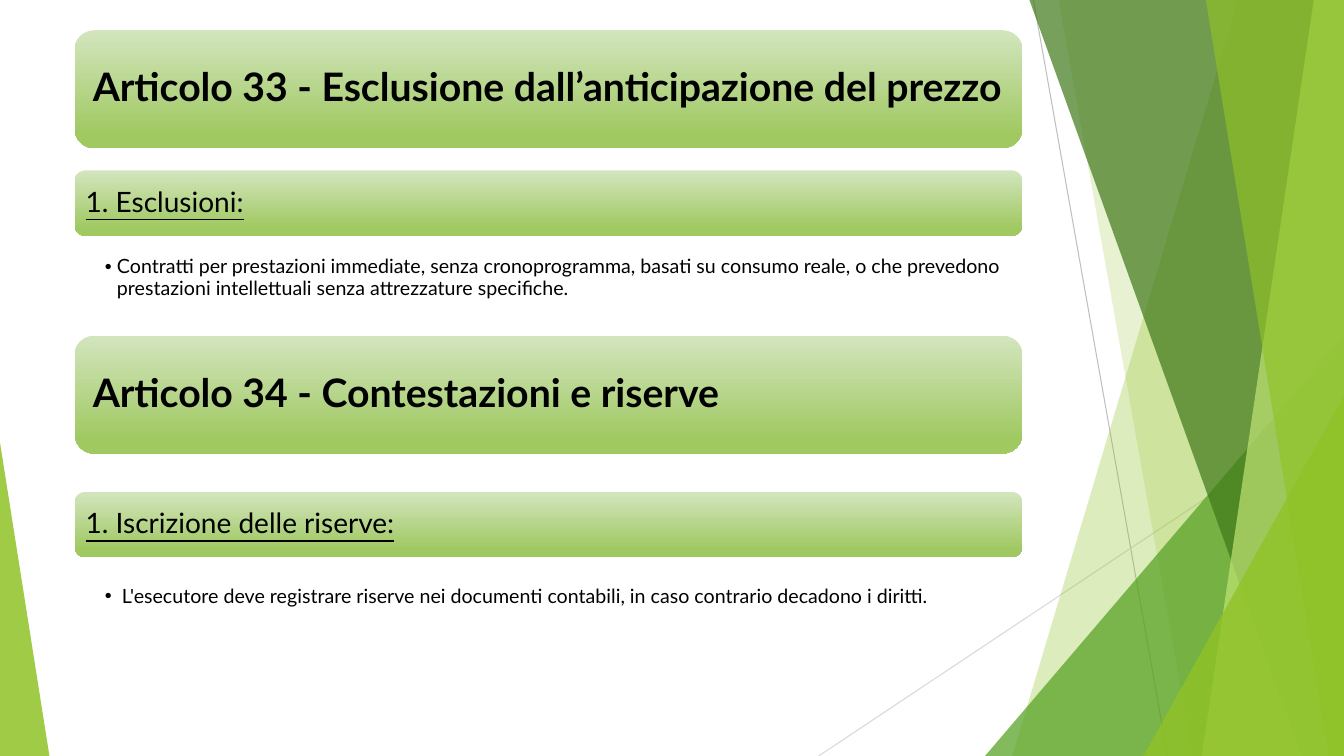
from lxml import etree
from pptx import Presentation
from pptx.dml.color import RGBColor
from pptx.enum.shapes import MSO_CONNECTOR, MSO_SHAPE
from pptx.enum.text import MSO_ANCHOR, MSO_AUTO_SIZE, PP_ALIGN
from pptx.oxml.ns import qn
from pptx.util import Emu, Pt

STRAIGHT = MSO_CONNECTOR.STRAIGHT
ROUNDED = MSO_SHAPE.ROUNDED_RECTANGLE
TRIANGLE = MSO_SHAPE.ISOSCELES_TRIANGLE
TOP, MIDDLE = MSO_ANCHOR.TOP, MSO_ANCHOR.MIDDLE
NO_FIT = MSO_AUTO_SIZE.NONE
LEFT = PP_ALIGN.LEFT

EMU_PER_PX = 9144
WIDTH, HEIGHT = 1333, 750
BAR_LEFT, BAR_WIDTH = 74, 940
TWO_CONTENT = 3


def px(length):
    return Emu(length * EMU_PER_PX)


def color(value):
    return RGBColor.from_string(value)


class SlideBuilder:
    font_name = "Lato"
    text_color = "000000"
    gradient = ((0, "D3E5BE"), (0.88, "A0C962"))

    def __init__(self, slide):
        self.slide = slide
        self.shapes = slide.shapes

    def line(self, start, end, line_color):
        connector = self.shapes.add_connector(STRAIGHT, *map(px, start + end))
        connector.line.color.rgb = color(line_color)
        connector.line.width = Pt(0.75)
        etree.SubElement(connector._element.spPr, qn("a:effectLst"))

    def paint(self, shape, fill_color, opacity):
        shape.shadow.inherit = False
        shape.fill.solid()
        shape.fill.fore_color.rgb = color(fill_color)
        color_element = shape._element.spPr.find(".//" + qn("a:srgbClr"))
        etree.SubElement(color_element, qn("a:alpha"), val=str(opacity * 1000))
        shape.line.fill.background()

    def facet(self, top_left, top_right, bottom_left, fill_color, opacity):
        builder = self.shapes.build_freeform(top_left, 0, scale=EMU_PER_PX)
        corners = [(top_right, 0), (WIDTH, HEIGHT), (bottom_left, HEIGHT)]
        if top_right != WIDTH:
            corners.insert(1, (WIDTH, 0))
        builder.add_line_segments(corners, close=True)
        self.paint(builder.convert_to_shape(), fill_color, opacity)

    def triangle(self, left, top, width, apex, fill_color, opacity):
        shape = self.shapes.add_shape(
            TRIANGLE, px(left), px(top), px(width), px(HEIGHT - top))
        shape.adjustments[0] = apex
        self.paint(shape, fill_color, opacity)

    def bar(self, top, height):
        shape = self.shapes.add_shape(
            ROUNDED, px(BAR_LEFT), px(top), px(BAR_WIDTH), px(height))
        shape.shadow.inherit = False
        shape.fill.gradient()
        shape.fill.gradient_angle = 270
        for stop, (position, stop_color) in zip(shape.fill.gradient_stops, self.gradient):
            stop.position = position
            stop.color.rgb = color(stop_color)
        shape.line.fill.background()

    def set_text(self, shape, box, text, size, insets, anchor,
                 bold=False, underline=False, bullet=False):
        shape.left, shape.top, shape.width, shape.height = map(px, box)
        frame = shape.text_frame
        frame.word_wrap = True
        frame.auto_size = NO_FIT
        frame.vertical_anchor = anchor
        frame.margin_left, frame.margin_top, frame.margin_right, frame.margin_bottom = map(px, insets)
        frame.text = text
        paragraph = frame.paragraphs[0]
        paragraph.alignment = LEFT
        paragraph.line_spacing = 0.9
        paragraph.space_before = Pt(0)
        if bullet:
            properties = paragraph._p.get_or_add_pPr()
            properties.set("marL", str(px(12)))
            properties.set("indent", str(px(-12)))
            etree.SubElement(properties, qn("a:buChar"), char="•")
        font = paragraph.font
        font.name = self.font_name
        font.size = Pt(size)
        font.bold = bold
        font.underline = underline
        font.color.rgb = color(self.text_color)

    def bar_text(self, top, height, text, size, gap, inset, placeholder=None, **style):
        self.bar(top, height)
        if placeholder is None:
            shape = self.shapes.add_textbox(0, 0, 0, 0)
        else:
            shape = self.to_front(placeholder)
        box = (BAR_LEFT + gap, top + gap, BAR_WIDTH - 2 * gap, height - 2 * gap)
        self.set_text(shape, box, text, size, (inset,) * 4, MIDDLE, **style)

    def heading(self, top, text, placeholder=None):
        self.bar_text(top, 117, text, 28, 6, 12, placeholder, bold=True)

    def subheading(self, top, text):
        self.bar_text(top, 65, text, 20, 3, 8, underline=True)

    def bullet_list(self, placeholder, top, text):
        shape = self.to_front(placeholder)
        box = (BAR_LEFT, top, BAR_WIDTH, 118)
        self.set_text(shape, box, text, 14, (30, 2, 11, 2), TOP, bullet=True)

    def to_front(self, shape):
        self.shapes._spTree.append(shape._element)
        return shape


def main():
    presentation = Presentation()
    presentation.slide_width, presentation.slide_height = px(WIDTH), px(HEIGHT)
    slide = presentation.slides.add_slide(presentation.slide_layouts[TWO_CONTENT])
    title, first_list, second_list = list(slide.placeholders)[:3]
    builder = SlideBuilder(slide)

    builder.line((1025, 0), (1158, HEIGHT), "BFBFBF")
    builder.line((WIDTH, 403), (812, HEIGHT), "D9D9D9")
    builder.facet(1228, WIDTH, 1004, "90C226", 30)
    builder.facet(1050, WIDTH, 1183, "90C226", 20)
    builder.triangle(977, 333, 356, 1, "54A021", 72)
    builder.facet(1021, WIDTH, 1291, "3F7819", 70)
    builder.facet(1303, WIDTH, 1192, "C0E474", 70)
    builder.facet(1196, WIDTH, 1318, "90C226", 65)
    builder.triangle(1134, 393, 199, 1, "90C226", 80)
    builder.triangle(0, 439, 49, 0, "90C226", 85)

    builder.heading(30, "Articolo 33 - Esclusione dall’anticipazione del prezzo", title)
    builder.subheading(169, "1. Esclusioni:")
    builder.bullet_list(
        first_list, 253,
        "Contratti per prestazioni immediate, senza cronoprogramma, basati su consumo reale, "
        "o che prevedono prestazioni intellettuali senza attrezzature specifiche.")
    builder.heading(333, "Articolo 34 - Contestazioni e riserve")
    builder.subheading(488, "1. Iscrizione delle riserve:")
    builder.bullet_list(
        second_list, 580,
        " L'esecutore deve registrare riserve nei documenti contabili, "
        "in caso contrario decadono i diritti.")

    presentation.save("out.pptx")


if __name__ == "__main__":
    main()
